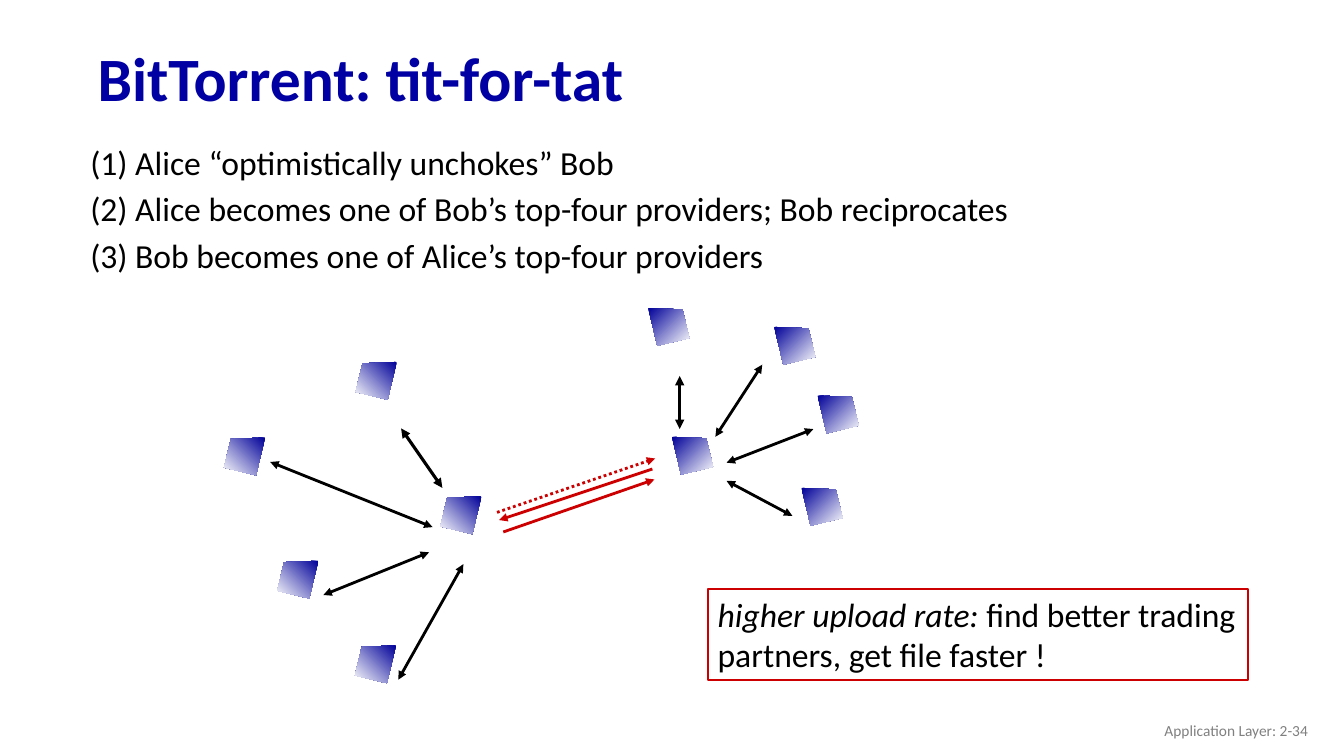
from lxml import etree
from pptx import Presentation
from pptx.dml.color import RGBColor
from pptx.enum.dml import MSO_LINE
from pptx.enum.shapes import MSO_CONNECTOR, MSO_SHAPE
from pptx.enum.text import MSO_ANCHOR, PP_ALIGN
from pptx.oxml.ns import qn
from pptx.util import Pt

LEFT, RIGHT = PP_ALIGN.LEFT, PP_ALIGN.RIGHT
TOP, MIDDLE = MSO_ANCHOR.TOP, MSO_ANCHOR.MIDDLE
STRAIGHT = MSO_CONNECTOR.STRAIGHT
RECT = MSO_SHAPE.RECTANGLE
DOT = MSO_LINE.ROUND_DOT

FONT = "Calibri"
COLORS = {
    "title": "0000A3",
    "text": "000000",
    "trade": "CC0000",
    "foot": "808080",
    "peer": "000099",
    "fade": "FFFFFF",
}

STEPS = [
    "(1) Alice “optimistically unchokes” Bob",
    "(2) Alice becomes one of Bob’s top-four providers; Bob reciprocates",
    "(3) Bob becomes one of Alice’s top-four providers",
]

PEER_W = 29.4
PEER = [(0, 0), (24.5, 1), (29.4, 21.5), (6.5, 27)]
ALICE = [(38, 180.5), (93.5, 241), (0, 92.5), (154.5, 134.5), (94, 38.5)]
BOB = [(412.5, 128.5), (424, 62.5), (393, 13.5), (320, 92), (303, 0)]

LINKS = [
    (149, 156.5, 33, 110, 2),
    (146.5, 174.5, 71, 205, 2),
    (171, 183, 124.5, 265.5, 2),
    (126.5, 86, 156, 128.5, 2.25),
    (351, 92, 384.5, 40.5, 2),
    (359, 110.5, 421, 86.5, 2),
    (359, 123.5, 406, 148.5, 2),
    (325.5, 48.5, 325.5, 86.5, 2.25),
]
TRADES = [
    (195, 146, 308, 107.5, DOT),
    (306, 115, 196.5, 151.5, None),
    (199.5, 160, 307.5, 122.5, None),
]


def color(name):
    return RGBColor.from_string(COLORS[name])


def points(*vals):
    return [Pt(v) for v in vals]


def add_run(para, text, size, tint="text", bold=False, slant=False):
    run = para.add_run()
    run.text = text
    font = run.font
    font.name, font.size = FONT, Pt(size)
    font.bold, font.italic = bold, slant
    font.color.rgb = color(tint)


def add_title(slide, box):
    title = slide.shapes.title
    title.left, title.top, title.width, title.height = points(*box)
    frame = title.text_frame
    frame.vertical_anchor = MIDDLE
    para = frame.paragraphs[0]
    para.alignment = LEFT
    para.line_spacing = 0.9
    add_run(para, "BitTorrent: tit-for-tat", 44, "title", bold=True)


def add_steps(slide, box):
    left, top, width, height = box
    pitch = height / len(STEPS)
    for i, step in enumerate(STEPS):
        area = points(left, top + i * pitch, width, 29)
        frame = slide.shapes.add_textbox(*area).text_frame
        frame.margin_left = frame.margin_right = 0
        frame.margin_top = frame.margin_bottom = 0
        frame.word_wrap = True
        add_run(frame.paragraphs[0], step, 24)


def add_link(slide, ends, tint, width, tips, dash=None):
    link = slide.shapes.add_connector(STRAIGHT, *points(*ends))
    line = link.line
    line.color.rgb = color(tint)
    line.width = Pt(width)
    if dash:
        line.dash_style = dash
    props = link._element.spPr
    for tip in tips:
        etree.SubElement(props.find(qn("a:ln")), qn(tip), type="triangle")
    etree.SubElement(props, qn("a:effectLst"))


def add_peer(slide, x, y, flip):
    spots = [points(x + (PEER_W - a if flip else a), y + b) for a, b in PEER]
    path = slide.shapes.build_freeform(*spots[0])
    path.add_line_segments(spots[1:], close=True)
    peer = path.convert_to_shape()
    peer.shadow.inherit = False
    peer.line.fill.background()
    peer.fill.gradient()
    peer.fill.gradient_angle = 225 if flip else 315
    for stop, name, place in zip(
        peer.fill.gradient_stops, ("peer", "fade"), (0, 1)
    ):
        stop.color.rgb = color(name)
        stop.position = place


def add_swarm(slide, left, top):
    def shift(x1, y1, x2, y2):
        return left + x1, top + y1, left + x2, top + y2

    for *ends, width in LINKS:
        add_link(slide, shift(*ends), "text", width, ("a:headEnd", "a:tailEnd"))
    for *ends, dash in TRADES:
        add_link(slide, shift(*ends), "trade", 2, ("a:tailEnd",), dash)
    for group, flip in ((ALICE, True), (BOB, False)):
        for x, y in group:
            add_peer(slide, left + x, top + y, flip)


def add_note(slide, box):
    note = slide.shapes.add_shape(RECT, *points(*box))
    note.shadow.inherit = False
    note.fill.background()
    note.line.color.rgb = color("trade")
    note.line.width = Pt(1.5)
    frame = note.text_frame
    frame.word_wrap = True
    frame.vertical_anchor = TOP
    para = frame.paragraphs[0]
    para.alignment = LEFT
    add_run(para, "higher upload rate:", 24, slant=True)
    add_run(para, " find better trading partners, get file faster !", 24)


def add_foot(slide, box):
    frame = slide.shapes.add_textbox(*points(*box)).text_frame
    frame.word_wrap = True
    frame.vertical_anchor = MIDDLE
    para = frame.paragraphs[0]
    para.alignment = RIGHT
    add_run(para, "Application Layer: 2-34", 11, "foot")


def main():
    deck = Presentation()
    deck.slide_width, deck.slide_height = points(960, 540)
    slide = deck.slides.add_slide(deck.slide_layouts[5])
    add_title(slide, (62.5, 23, 828, 70.5))
    add_steps(slide, (64.5, 101.5, 680, 99))
    add_swarm(slide, 160, 220)
    add_note(slide, (505.5, 420.5, 386, 65.5))
    add_foot(slide, (725.5, 507.5, 216, 29))
    deck.save("out.pptx")


if __name__ == "__main__":
    main()
